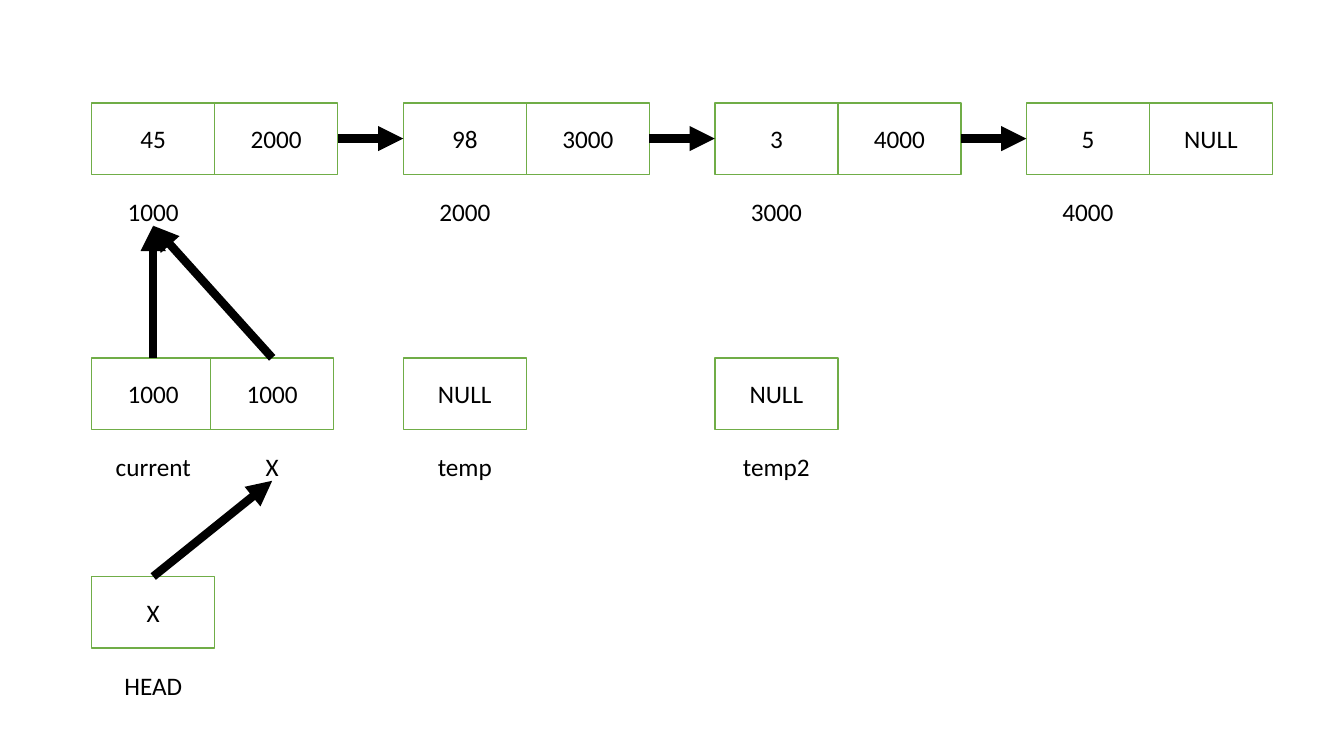
"""Build a slide of a linked list with its head, current and temp pointers."""
from lxml import etree
from pptx import Presentation
from pptx.dml.color import RGBColor
from pptx.enum.shapes import MSO_CONNECTOR, MSO_SHAPE
from pptx.enum.text import MSO_ANCHOR, PP_ALIGN
from pptx.oxml.ns import qn
from pptx.util import Inches, Pt

RECT = MSO_SHAPE.RECTANGLE
STRAIGHT = MSO_CONNECTOR.STRAIGHT
MIDDLE = MSO_ANCHOR.MIDDLE
CENTER = PP_ALIGN.CENTER
TOP, LEFT, BOTTOM, RIGHT = range(4)

CELL_W, CELL_H = 1.22, 0.71
LABEL_H, LABEL_DROP = 0.29, 0.93
COLUMNS = [0.91 + 3.09 * i for i in range(4)]
X_LEFT = 2.09
LIST_TOP, POINTER_TOP, HEAD_TOP = 1.02, 3.55, 5.72
NODES = [("45", "2000", "1000"), ("98", "3000", "2000"),
         ("3", "4000", "3000"), ("5", "NULL", "4000")]


def color(value):
    """Return the colour of a hex string."""
    return RGBColor.from_string(value)


def add_box(shapes, text, x, y, h=CELL_H, line="70AD47"):
    """Add a white rectangle with centred text, outlined if line is given."""
    sp = shapes.add_shape(RECT, Inches(x), Inches(y), Inches(CELL_W), Inches(h))
    sp.shadow.inherit = False
    sp.fill.solid()
    sp.fill.fore_color.rgb = color("FFFFFF")
    if line:
        sp.line.color.rgb = color(line)
        sp.line.width = Pt(1)
    else:
        sp.line.fill.background()
    tf = sp.text_frame
    tf.vertical_anchor = MIDDLE
    p = tf.paragraphs[0]
    p.text = text
    p.alignment = CENTER
    p.font.name = "Calibri"
    p.font.size = Pt(18)
    p.font.color.rgb = color("000000")
    return sp


def add_label(s, text, x, row_top):
    """Add the label under a box of the given row."""
    return add_box(s.shapes, text, x, row_top + LABEL_DROP, LABEL_H, None)


def add_node(s, value, link, address, x):
    """Add a list node with its address and return its cells and label."""
    shapes = s.shapes.add_group_shape().shapes
    first = add_box(shapes, value, x, LIST_TOP)
    last = add_box(shapes, link, x + CELL_W, LIST_TOP)
    return first, last, add_label(s, address, x, LIST_TOP)


def add_pointer(s, value, name, x, y):
    """Add a named pointer and return its box and label."""
    return add_box(s.shapes, value, x, y), add_label(s, name, x, y)


def add_arrow(s, start, start_side, end, end_side):
    """Join two shapes with a thick black arrow."""
    cxn = s.shapes.add_connector(STRAIGHT, 0, 0, 0, 0)
    cxn.begin_connect(start, start_side)
    cxn.end_connect(end, end_side)
    cxn.line.color.rgb = color("000000")
    cxn.line.width = Pt(6)
    etree.SubElement(cxn.line._get_or_add_ln(), qn("a:tailEnd"), type="triangle")
    etree.SubElement(cxn._element.spPr, qn("a:effectLst"))


def main():
    """Build and save the slide."""
    prs = Presentation()
    prs.slide_width, prs.slide_height = Inches(13.33), Inches(7.5)
    s = prs.slides.add_slide(prs.slide_layouts[6])

    nodes = [add_node(s, *node, x) for node, x in zip(NODES, COLUMNS)]
    current, _ = add_pointer(s, "1000", "current", COLUMNS[0], POINTER_TOP)
    x_box, x_label = add_pointer(s, "1000", "X", X_LEFT, POINTER_TOP)
    add_pointer(s, "NULL", "temp", COLUMNS[1], POINTER_TOP)
    add_pointer(s, "NULL", "temp2", COLUMNS[2], POINTER_TOP)
    head, _ = add_pointer(s, "X", "HEAD", COLUMNS[0], HEAD_TOP)

    for node, following in zip(nodes, nodes[1:]):
        add_arrow(s, node[1], RIGHT, following[0], LEFT)
    first_address = nodes[0][2]
    for box in (current, x_box):
        add_arrow(s, box, TOP, first_address, BOTTOM)
    add_arrow(s, head, TOP, x_label, BOTTOM)

    prs.save("out.pptx")


if __name__ == "__main__":
    main()
